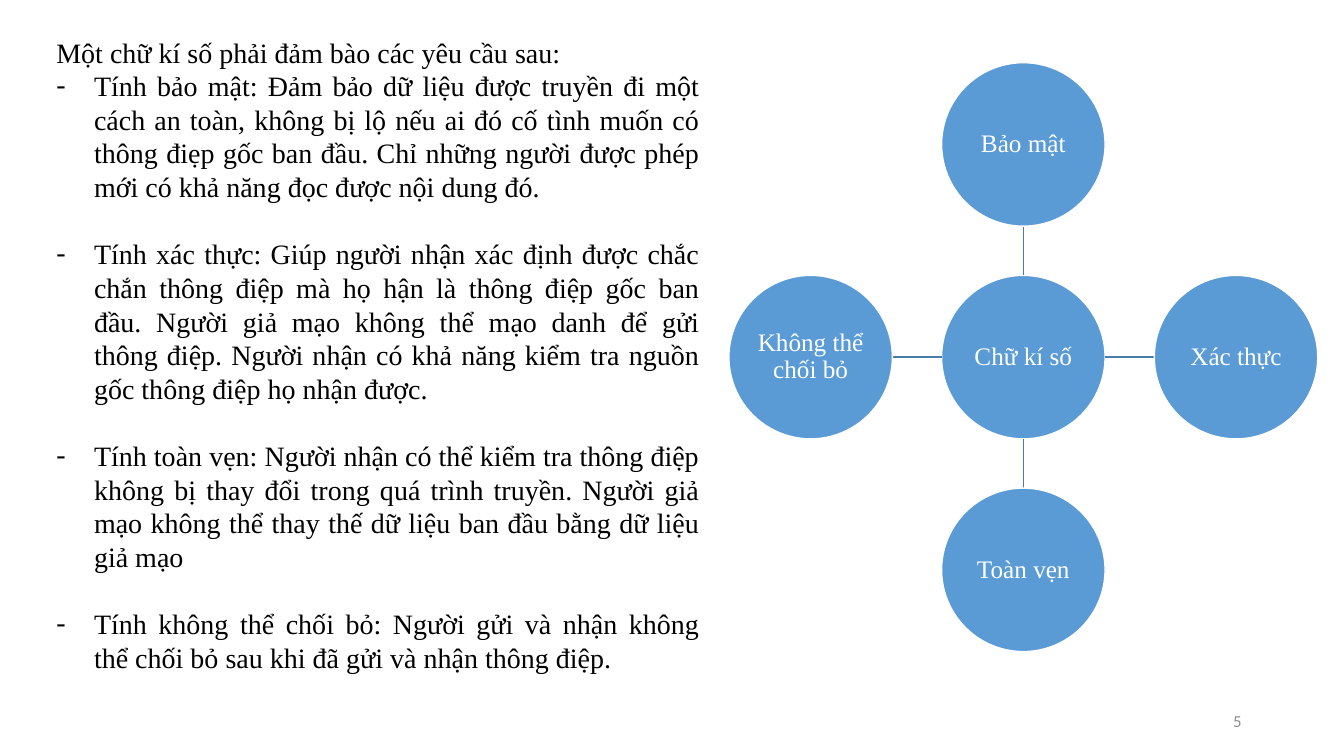
from lxml import etree
from pptx import Presentation
from pptx.dml.color import RGBColor
from pptx.enum.shapes import MSO_CONNECTOR, MSO_SHAPE
from pptx.enum.text import MSO_ANCHOR, PP_ALIGN
from pptx.oxml.ns import qn
from pptx.util import Cm, Pt

INTRO = "Một chữ kí số phải đảm bào các yêu cầu sau:"
REQUIREMENTS = [
    "Tính bảo mật: Đảm bảo dữ liệu được truyền đi một cách an toàn, không bị lộ nếu ai đó cố tình muốn có thông điẹp gốc ban đầu. Chỉ những người được phép mới có khả năng đọc được nội dung đó.",
    "Tính xác thực: Giúp người nhận xác định được chắc chắn thông điệp mà họ hận là thông điệp gốc ban đầu. Người giả mạo không thể mạo danh để gửi thông điệp. Người nhận có khả năng kiểm tra nguồn gốc thông điệp họ nhận được.",
    "Tính toàn vẹn: Người nhận có thể kiểm tra thông điệp không bị thay đổi trong quá trình truyền. Người giả mạo không thể thay thế dữ liệu ban đầu bằng dữ liệu giả mạo",
    "Tính không thể chối bỏ: Người gửi và nhận không thể chối bỏ sau khi đã gửi và nhận thông điệp.",
]
HUB = "Chữ kí số"
SPOKES = [
    ("Bảo mật", 0, -1),
    ("Xác thực", 1, 0),
    ("Toàn vẹn", 0, 1),
    ("Không thể chối bỏ", -1, 0),
]
PAGE_NUMBER = "5"

BLACK = RGBColor(0x00, 0x00, 0x00)
WHITE = RGBColor(0xFF, 0xFF, 0xFF)
BLUE = RGBColor(0x5B, 0x9B, 0xD5)
LINK_BLUE = RGBColor(0x49, 0x7C, 0xAB)
GRAY = RGBColor(0x8C, 0x8C, 0x8C)
SERIF = "Times New Roman"
SANS = "Calibri"
JUSTIFY, CENTER, RIGHT = PP_ALIGN.JUSTIFY, PP_ALIGN.CENTER, PP_ALIGN.RIGHT
MIDDLE = MSO_ANCHOR.MIDDLE
OVAL = MSO_SHAPE.OVAL
STRAIGHT = MSO_CONNECTOR.STRAIGHT

CENTER_X, CENTER_Y = 25.79, 9.0
PITCH = 5.36
RADIUS = 2.06
INDENT = Cm(0.95)


def format_paragraph(paragraph, text, size, color, alignment, font=SERIF):
    paragraph.text = text
    paragraph.alignment = alignment
    for run in paragraph.runs:
        run.font.name = font
        run.font.size = Pt(size)
        run.font.color.rgb = color


def add_dash(paragraph):
    properties = paragraph._p.get_or_add_pPr()
    properties.set("marL", str(INDENT))
    properties.set("indent", str(-INDENT))
    etree.SubElement(properties, qn("a:buFont")).set("typeface", SERIF)
    etree.SubElement(properties, qn("a:buChar")).set("char", "-")


def add_circle(slide, label, column, row):
    shape = slide.shapes.add_shape(
        OVAL,
        Cm(CENTER_X + column * PITCH - RADIUS),
        Cm(CENTER_Y + row * PITCH - RADIUS),
        Cm(2 * RADIUS),
        Cm(2 * RADIUS),
    )
    shape.shadow.inherit = False
    shape.fill.solid()
    shape.fill.fore_color.rgb = BLUE
    shape.line.color.rgb = WHITE
    shape.line.width = Pt(1)
    frame = shape.text_frame
    frame.word_wrap = True
    frame.vertical_anchor = MIDDLE
    frame.margin_left = frame.margin_right = Cm(0.03)
    frame.margin_top = frame.margin_bottom = Cm(0.03)
    format_paragraph(frame.paragraphs[0], label, 18, WHITE, CENTER)
    frame.paragraphs[0].line_spacing = 0.9


def add_link(slide, column, row):
    near, far = RADIUS, PITCH - RADIUS
    link = slide.shapes.add_connector(
        STRAIGHT,
        Cm(CENTER_X + column * near),
        Cm(CENTER_Y + row * near),
        Cm(CENTER_X + column * far),
        Cm(CENTER_Y + row * far),
    )
    link.line.color.rgb = LINK_BLUE
    link.line.width = Pt(1)
    etree.SubElement(link._element.spPr, qn("a:effectLst"))


def main():
    presentation = Presentation()
    presentation.slide_width = Cm(33.87)
    presentation.slide_height = Cm(19.05)
    slide = presentation.slides.add_slide(presentation.slide_layouts[6])

    body = slide.shapes.add_textbox(Cm(1.17), Cm(0.76), Cm(16.71), Cm(16.51))
    frame = body.text_frame
    frame.word_wrap = True
    format_paragraph(frame.paragraphs[0], INTRO, 20, BLACK, JUSTIFY)
    for index, requirement in enumerate(REQUIREMENTS):
        paragraph = frame.add_paragraph()
        add_dash(paragraph)
        format_paragraph(paragraph, requirement, 20, BLACK, JUSTIFY)
        if index:
            paragraph.space_before = Pt(24)

    add_circle(slide, HUB, 0, 0)
    for label, column, row in SPOKES:
        add_link(slide, column, row)
        add_circle(slide, label, column, row)

    number = slide.shapes.add_textbox(Cm(23.92), Cm(17.66), Cm(7.62), Cm(1.01))
    number.text_frame.word_wrap = True
    number.text_frame.vertical_anchor = MIDDLE
    format_paragraph(number.text_frame.paragraphs[0], PAGE_NUMBER, 12, GRAY, RIGHT, SANS)

    presentation.save("out.pptx")


if __name__ == "__main__":
    main()
